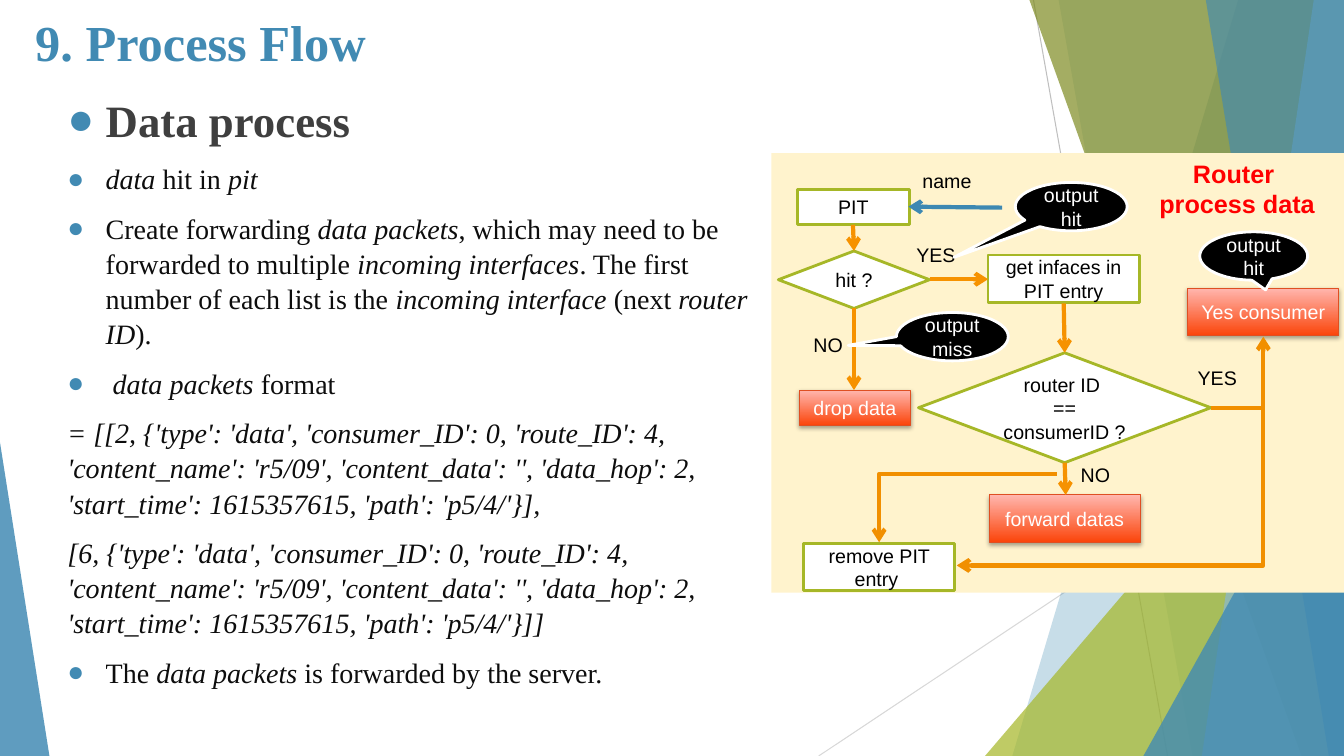
from lxml import etree
from pptx import Presentation
from pptx import util as u
from pptx.dml import color
from pptx.enum import shapes, text
from pptx.oxml import ns

PX = 9144
SERIF, SANS = "Times New Roman", "Arial"
BLUE, GREEN, ORANGE, BEND = "418AB3", "A6B727", "F69200", "F18F00"
BLACK, WHITE = "000000", "FFFFFF"
KIND = shapes.MSO_SHAPE
MIDDLE = text.MSO_ANCHOR.MIDDLE
CENTER = text.PP_ALIGN.CENTER


def px(*lengths):
    return [u.Emu(length * PX) for length in lengths]


def rgb(value):
    return color.RGBColor.from_string(value)


def add_xml(parent, tag, **attributes):
    child = etree.SubElement(parent, ns.qn(tag))
    for name, value in attributes.items():
        child.set(name, str(value))
    return child


def write(shape, lines, size=14, font=SANS, ink=BLACK, bold=False,
          align=None, anchor=text.MSO_ANCHOR.TOP):
    frame = shape.text_frame
    frame.word_wrap = True
    frame.vertical_anchor = anchor
    for index, line in enumerate(lines.split("\n")):
        para = frame.paragraphs[0] if index == 0 else frame.add_paragraph()
        para.alignment = align
        span = para.add_run()
        span.text = line
        span.font.size, span.font.name, span.font.bold = u.Pt(size), font, bold
        span.font.color.rgb = rgb(ink)


def write_label(page, left, top, width, height, lines, **style):
    box = page.shapes.add_textbox(*px(left, top, width, height))
    write(box, lines, **style)


def paint(shape, fill, opacity=100, line=None, weight=2):
    shape.shadow.inherit = False
    shape.fill.solid()
    shape.fill.fore_color.rgb = rgb(fill)
    if opacity < 100:
        hue = shape.fill._xPr.find(".//" + ns.qn("a:srgbClr"))
        add_xml(hue, "a:alpha", val=opacity * 1000)
    if line:
        shape.line.color.rgb = rgb(line)
        shape.line.width = u.Pt(weight)
    else:
        shape.line.fill.background()


def paint_red(shape):
    paint(shape, WHITE, line="DF4F22", weight=0.75)
    shape.fill.gradient()
    shape.fill.gradient_angle = 90
    for stop, value in zip(shape.fill.gradient_stops, ("FB450B", "FFB6AE")):
        stop.color.rgb = rgb(value)
    effects = shape._element.spPr.find(ns.qn("a:effectLst"))
    shadow = add_xml(effects, "a:outerShdw", blurRad=40000, dist=23000,
                     dir=5400000, rotWithShape=0)
    add_xml(add_xml(shadow, "a:srgbClr", val=BLACK), "a:alpha", val=35000)


def add_line(page, start, end, ink, weight, arrow=False, bend=None):
    kind = shapes.MSO_CONNECTOR.ELBOW if bend else shapes.MSO_CONNECTOR.STRAIGHT
    line = page.shapes.add_connector(kind, *px(*start, *end))
    line.line.color.rgb = rgb(ink)
    line.line.width = u.Pt(weight)
    if arrow:
        add_xml(line.line._ln, "a:tailEnd", type="arrow")
    properties = line._element.spPr
    add_xml(properties, "a:effectLst")
    if bend:
        geometry = properties.find(ns.qn("a:prstGeom"))
        geometry.set("prst", bend)
        if bend == "bentConnector3":
            guides = geometry.find(ns.qn("a:avLst"))
            add_xml(guides, "a:gd", name="adj1", fmla="val -300")


def draw_backdrop(page, width, height):
    add_line(page, (1025, 0), (1158, height), "BFBFBF", 0.75)
    add_line(page, (width, 403), (812, height), "D8D8D8", 0.75)

    def band(top_x, bottom_x, fill, opacity):
        builder = page.shapes.build_freeform(top_x, 0, scale=PX)
        builder.add_line_segments(
            [(width, 0), (width, height), (bottom_x, height)], close=True)
        paint(builder.convert_to_shape(), fill, opacity)

    def wedge(left, top, wide, apex, fill, opacity):
        shape = page.shapes.add_shape(
            KIND.ISOSCELES_TRIANGLE, *px(left, top, wide, height - top))
        shape.adjustments[0] = apex
        paint(shape, fill, opacity)

    band(1228, 1004, BLUE, 29)
    band(1050, 1183, BLUE, 20)
    wedge(977, 333, 356, 1, GREEN, 71)
    band(1021, 1291, "7C891D", 69)
    band(1303, 1192, "89B8D4", 69)
    band(1196, 1318, BLUE, 64)
    wedge(1134, 393, 199, 1, BLUE, 80)
    wedge(0, 439, 49, 0, BLUE, 84)


def draw_points(page, left, top, width, height):
    packet = ("{'type': 'data', 'consumer_ID': 0, 'route_ID': 4, "
              "'content_name': 'r5/09', 'content_data': '', 'data_hop': 2, "
              "'start_time': 1615357615, 'path': 'p5/4/'}]")
    points = [
        (True, ["Data process"]),
        (True, ["", "data", " hit in ", "pit"]),
        (True, ["Create forwarding ", "data packets",
                ", which may need to be forwarded to multiple ",
                "incoming interfaces",
                ". The first number of each list is the ",
                "incoming interface", " (next ", "router ID", ")."]),
        (True, ["", " data packets ", "format"]),
        (False, ["", "= [[2, " + packet + ","]),
        (False, ["", "[6, " + packet + "]"]),
        (True, ["The ", "data packets", " is forwarded by the server."]),
    ]
    frame = page.shapes.add_textbox(*px(left, top, width, height)).text_frame
    frame.word_wrap = True
    for index, (bulleted, spans) in enumerate(points):
        heading = index == 0
        para = frame.paragraphs[0] if heading else frame.add_paragraph()
        para.line_spacing = 1.05
        if not heading:
            para.space_before = u.Pt(10)
        format_xml = para._p.get_or_add_pPr()
        format_xml.set("marL", str(PX * (50 if bulleted else 12)))
        format_xml.set("indent", str(PX * (-38 if bulleted else 0)))
        if bulleted:
            add_xml(add_xml(format_xml, "a:buClr"), "a:srgbClr", val=BLUE)
            add_xml(format_xml, "a:buFont", typeface=SANS)
            add_xml(format_xml, "a:buChar", char="●")
        for order, words in enumerate(spans):
            if words:
                span = para.add_run()
                span.text = words
                span.font.name = SERIF
                span.font.size = u.Pt(32 if heading else 20)
                span.font.bold = heading
                span.font.italic = order % 2 == 1
                span.font.color.rgb = rgb("3F3F3F" if heading else "0D0D0D")


def draw_flow(page, left, top, width, height):
    panel = page.shapes.add_shape(KIND.RECTANGLE, *px(left, top, width, height))
    paint(panel, "FFF3CD")

    def node(kind, x, y, wide, tall, lines, ink=BLACK):
        shape = page.shapes.add_shape(kind, *px(left + x, top + y, wide, tall))
        write(shape, lines, ink=ink, align=CENTER, anchor=MIDDLE)
        return shape

    for x, y, wide, words in [(140, 11, 74, "name"), (32, 173, 57, "NO"),
                              (134, 84, 63, "YES"), (297, 302, 57, "NO"),
                              (413, 206, 63, "YES")]:
        write_label(page, left + x, top + y, wide, 34, words)
    write_label(page, left + 361, top, 202, 71, "Router \nprocess data",
                size=18, ink="FF0000", bold=True, align=CENTER)

    for kind, *place in [
            (KIND.RECTANGLE, 26, 36, 111, 35, "PIT"),
            (KIND.DIAMOND, 7, 97, 150, 57, "hit ?"),
            (KIND.RECTANGLE, 215, 101, 150, 47, "get infaces in PIT entry"),
            (KIND.RECTANGLE, 32, 387, 150, 47, "remove PIT entry "),
            (KIND.DIAMOND, 146, 198, 290, 109, "router ID \n==\nconsumerID ?")]:
        paint(node(kind, *place), WHITE, line=GREEN)

    for place in [(28, 235, 110, 35, "drop data"),
                  (216, 339, 150, 47, "forward datas"),
                  (413, 134, 150, 47, "Yes consumer")]:
        paint_red(node(KIND.RECTANGLE, *place, ink=WHITE))

    for x1, y1, x2, y2, ink, bend in [
            (229, 54, 136, 53, "3D88B2", None),
            (81, 71, 82, 97, ORANGE, None),
            (82, 154, 82, 235, ORANGE, None),
            (157, 125, 215, 125, ORANGE, None),
            (290, 149, 291, 198, ORANGE, None),
            (291, 307, 292, 339, ORANGE, None),
            (283, 318, 107, 386, BEND, "bentConnector2"),
            (436, 253, 488, 182, BEND, "bentConnector2"),
            (487, 253, 184, 409, BEND, "bentConnector3")]:
        add_line(page, (left + x1, top + y1), (left + x2, top + y2), ink, 3,
                 arrow=True, bend=bend)

    for x, y, wide, words, tip in [
            (124, 158, 111, "output miss", (-0.93, 0.18)),
            (242, 29, 111, "output hit", (-1.05, 1.05)),
            (425, 78, 107, "output hit", (0.11, 0.7))]:
        callout = node(KIND.OVAL_CALLOUT, x, y, wide, 48, words, ink=WHITE)
        callout.adjustments[0], callout.adjustments[1] = tip
        paint(callout, BLACK, line=WHITE)


def main():
    deck = Presentation()
    deck.slide_width, deck.slide_height = px(1333, 750)
    page = deck.slides.add_slide(deck.slide_layouts[6])
    draw_backdrop(page, 1333, 750)
    draw_flow(page, 765, 152, 568, 436)
    write_label(page, 25, 6, 997, 85, "9. Process Flow",
                size=36, font=SERIF, ink=BLUE, bold=True)
    draw_points(page, 45, 84, 710, 666)
    deck.save("out.pptx")


if __name__ == "__main__":
    main()
